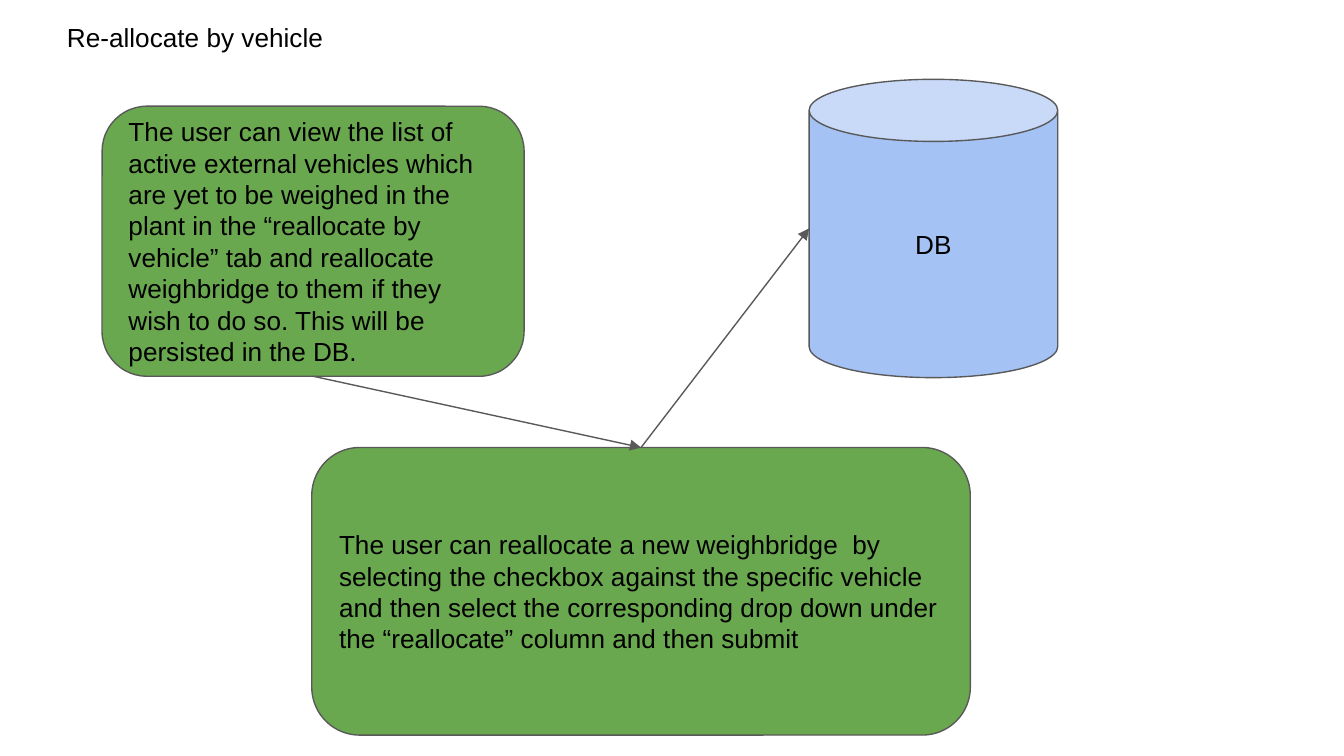
from dataclasses import dataclass

from lxml.etree import SubElement
from pptx import Presentation
from pptx.dml.color import RGBColor as RGB
from pptx.enum.shapes import MSO_CONNECTOR as LINK, MSO_SHAPE as SHAPE
from pptx.enum.text import MSO_ANCHOR as ANCHOR, PP_ALIGN as ALIGN
from pptx.oxml.ns import qn
from pptx.util import Inches, Pt


@dataclass(frozen=True)
class Theme:
    """Colours, font and sizes of the slide."""
    step: RGB = RGB.from_string("6AA84F")
    store: RGB = RGB.from_string("A4C2F4")
    edge: RGB = RGB.from_string("595959")
    ink: RGB = RGB.from_string("000000")
    font: str = "Arial"
    size: float = 14
    width: float = 0.75
    pad: float = 0.1


THEME = Theme()
TITLE = "Re-allocate by vehicle"
VIEW = (
    "The user can view the list of active external vehicles which are yet to be "
    "weighed in the plant in the “reallocate by vehicle” tab and reallocate "
    "weighbridge to them if they wish to do so. This will be persisted in the DB."
)
SUBMIT = (
    "The user can reallocate a new weighbridge  by selecting the checkbox against "
    "the specific vehicle and then select the corresponding drop down under the "
    "“reallocate” column and then submit"
)


def write(shape, text, anchor=ANCHOR.MIDDLE, align=ALIGN.LEFT):
    """Set the text of a shape in the theme's type."""
    frame = shape.text_frame
    frame.text = text
    frame.word_wrap = True
    frame.vertical_anchor = anchor
    frame.margin_left = frame.margin_right = Inches(THEME.pad)
    frame.margin_top = frame.margin_bottom = Inches(THEME.pad)
    for para in frame.paragraphs:
        para.alignment = align
        for run in para.runs:
            run.font.name = THEME.font
            run.font.size = Pt(THEME.size)
            run.font.color.rgb = THEME.ink


def add_title(slide, box, text):
    """Place the heading in its box."""
    write(slide.shapes.add_textbox(*map(Inches, box)), text, ANCHOR.TOP)


def add_node(slide, box, kind, fill, text, align=ALIGN.LEFT):
    """Place one filled and outlined node of the flow."""
    node = slide.shapes.add_shape(kind, *map(Inches, box))
    node.shadow.inherit = False
    node.fill.solid()
    node.fill.fore_color.rgb = fill
    node.line.color.rgb = THEME.edge
    node.line.width = Pt(THEME.width)
    write(node, text, align=align)
    return node


def add_arrow(slide, start, end):
    """Draw a straight arrow between two points."""
    arrow = slide.shapes.add_connector(LINK.STRAIGHT, *start, *end)
    arrow.line.color.rgb = THEME.edge
    arrow.line.width = Pt(THEME.width)
    SubElement(arrow.line._get_or_add_ln(), qn("a:tailEnd"), type="triangle")
    SubElement(arrow._element.spPr, qn("a:effectLst"))
    return arrow


def add_flow(slide, box):
    """Place the two steps, the store and their arrows within a box."""
    left, top, width, height = box
    view = add_node(slide, (left, top + 0.2, 3.14, 2.01),
                    SHAPE.ROUNDED_RECTANGLE, THEME.step, VIEW)
    store = add_node(slide, (left + width - 1.85, top, 1.85, 2.22),
                     SHAPE.CAN, THEME.store, "DB", ALIGN.CENTER)
    submit = add_node(slide, (left + 1.56, top + height - 2.14, 4.9, 2.14),
                      SHAPE.ROUNDED_RECTANGLE, THEME.step, SUBMIT)
    base = view.left + view.width // 2, view.top + view.height
    peak = submit.left + submit.width // 2, submit.top
    side = store.left, store.top + store.height // 2
    add_arrow(slide, peak, side).begin_connect(submit, 0)
    last = add_arrow(slide, base, peak)
    last.begin_connect(view, 2)
    last.end_connect(submit, 0)


def main():
    """Build and save the slide."""
    deck = Presentation()
    deck.slide_width = Inches(10)
    deck.slide_height = deck.slide_width * 9 // 16
    slide = deck.slides.add_slide(deck.slide_layouts[6])
    add_title(slide, (0.4, 0.06, 2.16, 0.73), TITLE)
    add_flow(slide, (0.76, 0.59, 7.11, 4.88))
    deck.save("out.pptx")


if __name__ == "__main__":
    main()
